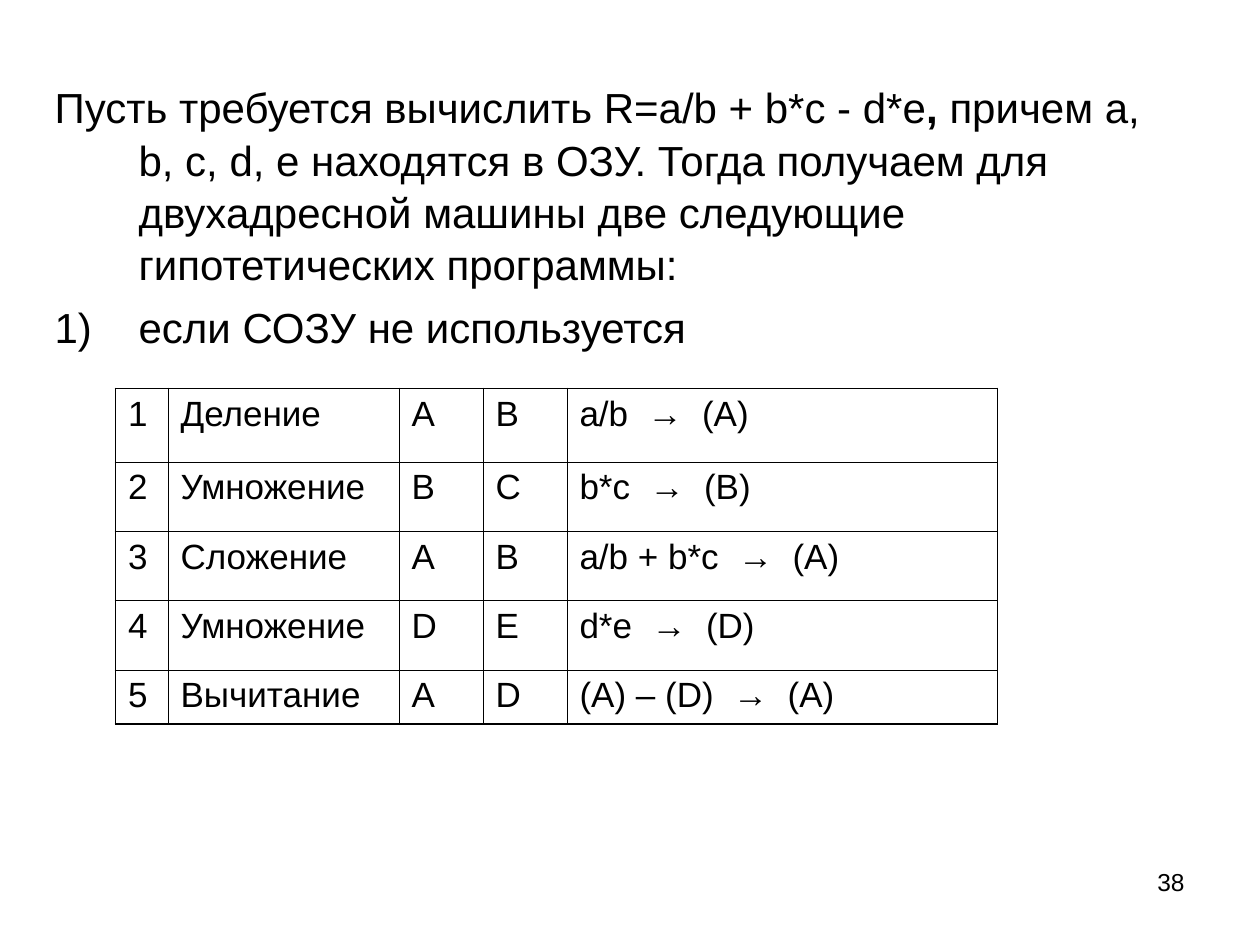
from lxml.etree import SubElement
from pptx import Presentation
from pptx.dml.color import RGBColor
from pptx.enum.text import MSO_ANCHOR, MSO_AUTO_SIZE, PP_ALIGN
from pptx.oxml.ns import qn
from pptx.util import Pt

BLACK = RGBColor(0x00, 0x00, 0x00)

INTRO = [
    ("Пусть требуется вычислить R=a/b + b*c - d*e", False),
    (", ", True),
    ("причем a, b, c, d, e находятся в ОЗУ. Тогда получаем для "
     "двухадресной машины две следующие гипотетических программы:", False),
]
CASE = [("если СОЗУ не используется", False)]
PROGRAM = [
    ("1", "Деление", "A", "B", "a/b  →  (A)"),
    ("2", "Умножение", "B", "C", "b*c  →  (B)"),
    ("3", "Сложение", "A", "B", "a/b + b*c  →  (A)"),
    ("4", "Умножение", "D", "E", "d*e  →  (D)"),
    ("5", "Вычитание", "A", "D", "(A) – (D)  →  (A)"),
]
COLUMN_WIDTHS = [30, 132, 48, 48, 246]
ROW_HEIGHTS = [42, 39.6, 39.6, 39.6, 31]


def write_text(paragraph, runs, size, font="Arial", color=BLACK,
               align=PP_ALIGN.LEFT, before=0, spacing=None):
    """Fill a paragraph with (text, bold) runs."""
    paragraph.alignment = align
    paragraph.space_before = Pt(before)
    if spacing:
        paragraph.line_spacing = spacing
    paragraph.font.size = Pt(size)
    for text, bold in runs:
        run = paragraph.add_run()
        run.text = text
        run.font.name = font
        run.font.size = Pt(size)
        run.font.bold = bold
        run.font.color.rgb = color


class SlideBuilder:
    body_size, table_size, number_size = 24, 20, 14
    outer_line, inner_line = 1.08, 0.45
    hanging_indent = 48

    def __init__(self, slide):
        self.slide = slide

    def body(self, left, top, width, height, items):
        """Place the body; items are (runs, numbered) pairs."""
        shape = self.slide.placeholders[1]
        shape.left, shape.top = Pt(left), Pt(top)
        shape.width, shape.height = Pt(width), Pt(height)
        frame = shape.text_frame
        frame.auto_size = MSO_AUTO_SIZE.NONE
        frame.vertical_anchor = MSO_ANCHOR.TOP
        for index, (runs, numbered) in enumerate(items):
            paragraph = frame.add_paragraph() if index else frame.paragraphs[0]
            properties = paragraph._p.get_or_add_pPr()
            properties.set("marL", str(Pt(self.hanging_indent)))
            properties.set("indent", str(-Pt(self.hanging_indent)))
            if numbered:
                SubElement(properties, qn("a:buFont"), typeface="Arial")
                SubElement(properties, qn("a:buAutoNum"), type="arabicParenR")
            else:
                SubElement(properties, qn("a:buNone"))
            write_text(paragraph, runs, self.body_size,
                       before=6 if index else 0, spacing=1.04)

    def table(self, left, top, rows, widths, heights):
        shape = self.slide.shapes.add_table(
            len(rows), len(widths), Pt(left), Pt(top),
            Pt(sum(widths)), Pt(sum(heights)))
        table = shape.table
        table.first_row = table.horz_banding = False
        for column, width in zip(table.columns, widths):
            column.width = Pt(width)
        for row, height in zip(table.rows, heights):
            row.height = Pt(height)
        last_row, last_column = len(rows) - 1, len(widths) - 1
        for i, texts in enumerate(rows):
            for j, text in enumerate(texts):
                cell = table.cell(i, j)
                write_text(cell.text_frame.paragraphs[0], [(text, False)],
                           self.table_size)
                self.borders(cell, lnL=j == 0, lnR=j == last_column,
                             lnT=i == 0, lnB=i == last_row)
                cell.fill.background()

    def borders(self, cell, **outer_sides):
        """Draw each side, thicker where it is on the table's edge."""
        properties = cell._tc.get_or_add_tcPr()
        for side, is_outer in outer_sides.items():
            width = Pt(self.outer_line if is_outer else self.inner_line)
            line = SubElement(properties, qn(f"a:{side}"), w=str(width))
            fill = SubElement(line, qn("a:solidFill"))
            SubElement(fill, qn("a:srgbClr"), val=str(BLACK))

    def page_number(self, left, top, width, height, number):
        shape = self.slide.shapes.add_textbox(
            Pt(left), Pt(top), Pt(width), Pt(height))
        shape.text_frame.word_wrap = True
        write_text(shape.text_frame.paragraphs[0], [(number, False)],
                   self.number_size, align=PP_ALIGN.RIGHT)


def main():
    presentation = Presentation()
    presentation.slide_width, presentation.slide_height = Pt(720), Pt(540)
    slide = presentation.slides.add_slide(presentation.slide_layouts[1])

    # The slide has no title
    title = slide.shapes.title.element
    title.getparent().remove(title)

    builder = SlideBuilder(slide)
    # Task statement
    builder.body(24, 42, 654, 441, [(INTRO, False), (CASE, True)])
    # Two-address program
    builder.table(66, 222, PROGRAM, COLUMN_WIDTHS, ROW_HEIGHTS)
    # Page number
    builder.page_number(516, 492, 168, 37.5, "38")

    presentation.save("out.pptx")


if __name__ == "__main__":
    main()
